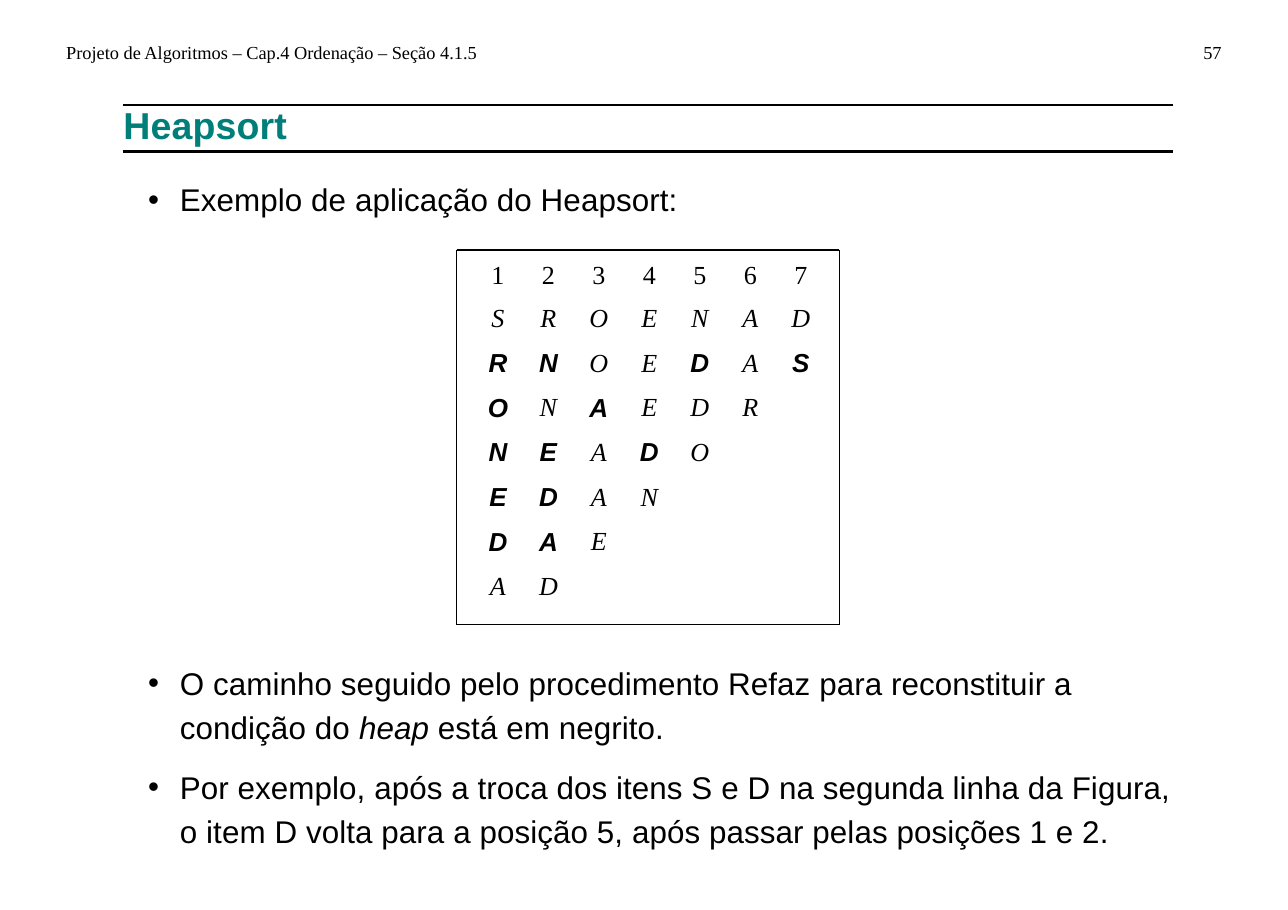
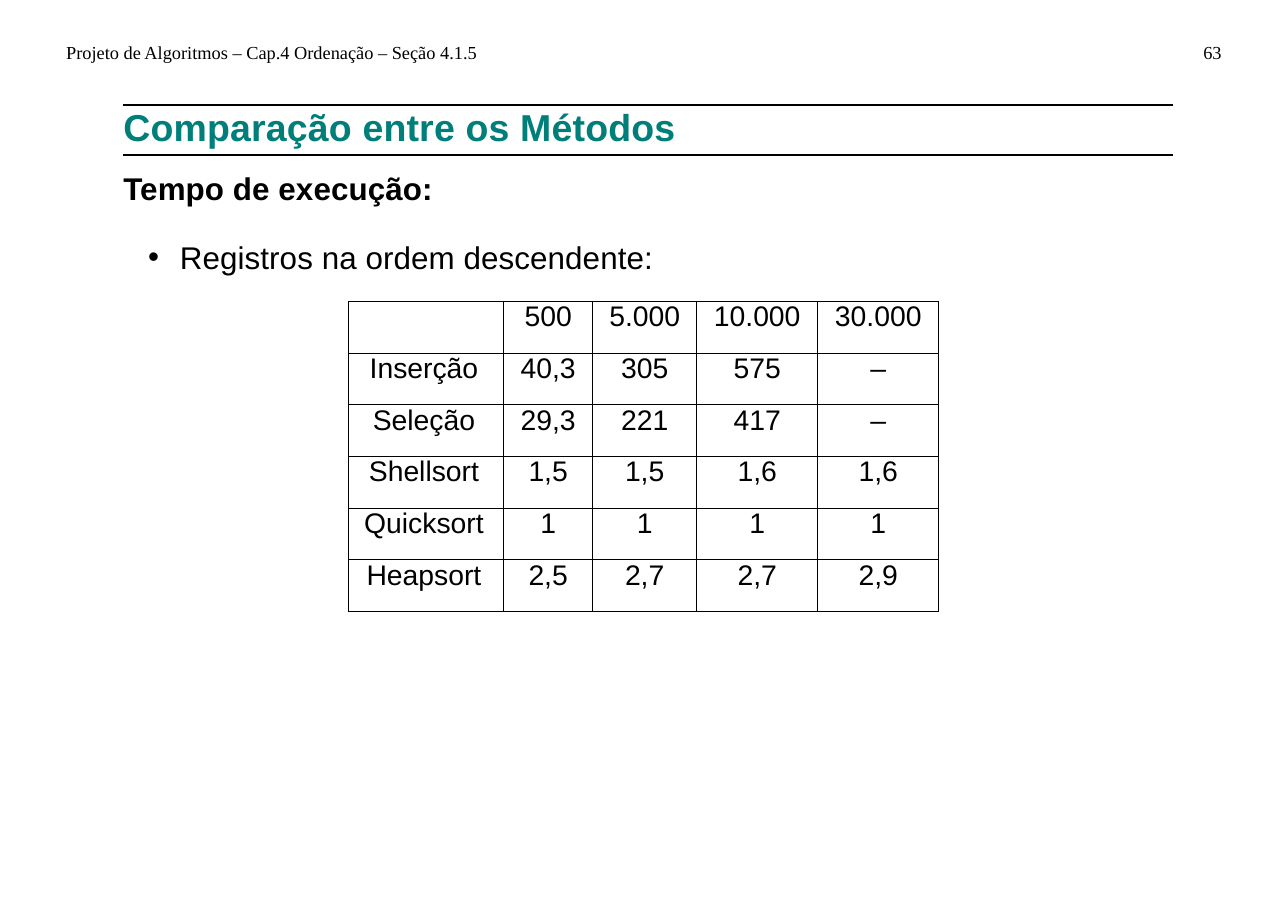
from dataclasses import dataclass

from lxml.etree import SubElement
from pptx import Presentation
from pptx.dml.color import RGBColor
from pptx.enum.shapes import MSO_CONNECTOR
from pptx.enum.text import PP_ALIGN
from pptx.oxml.ns import qn
from pptx.util import Pt


@dataclass(frozen=True)
class Theme:
    ink: str = "000000"
    accent: str = "007F7A"
    sans: str = "Arial"
    serif: str = "Times New Roman"
    header: float = 12
    title: float = 24.5
    body: float = 20.5
    data: float = 18.5
    heap: float = 17
    title_tracking: int = 13
    body_tracking: int = 6
    rule: float = 1.73
    hairline: float = 0.69
    left: float = 80.6
    right: float = 766.8
    bullet_left: float = 96.8
    hanging: float = 20.8


THEME = Theme()

# Content: in HEAP_ROWS a star marks a bold letter, in bullets stars enclose italics
HEADER = "Projeto de Algoritmos – Cap.4 Ordenação – Seção 4.1.5"
HEAP_ROWS = [
    "1 2 3 4 5 6 7",
    "S R O E N A D",
    "*R *N O E *D A *S",
    "*O N *A E D R",
    "*N *E A *D O",
    "*E *D A N",
    "*D *A E",
    "A D",
]
HEAP_INTRO = ["Exemplo de aplicação do Heapsort:"]
HEAP_NOTES = [
    "O caminho seguido pelo procedimento Refaz para reconstituir a condição do *heap* está em negrito.",
    "Por exemplo, após a troca dos itens S e D na segunda linha da Figura, "
    "o item D volta para a posição 5, após passar pelas posições 1 e 2.",
]
TIMES_INTRO = ["Registros na ordem descendente:"]
TIMES = [
    ("", "500", "5.000", "10.000", "30.000"),
    ("Inserção", "40,3", "305", "575", "–"),
    ("Seleção", "29,3", "221", "417", "–"),
    ("Shellsort", "1,5", "1,5", "1,6", "1,6"),
    ("Quicksort", "1", "1", "1", "1"),
    ("Heapsort", "2,5", "2,7", "2,7", "2,9"),
]


# Text
def style(para, size, name=THEME.sans, color=THEME.ink, bold=False, italic=False, tracking=0):
    font = para.font
    font.size, font.name, font.bold, font.italic = Pt(size), name, bold, italic
    font.color.rgb = RGBColor.from_string(color)
    if tracking:
        para._p.pPr.find(qn("a:defRPr")).set("spc", str(tracking))


def add_frame(page, left, top, width, height):
    frame = page.shapes.add_textbox(Pt(left), Pt(top), Pt(width), Pt(height)).text_frame
    frame.margin_left = frame.margin_right = frame.margin_top = frame.margin_bottom = 0
    frame.word_wrap = True
    return frame


def add_text(page, text, left, top, width, size, **look):
    para = add_frame(page, left, top, width, size * 1.2).paragraphs[0]
    para.text = text
    style(para, size, **look)


def add_bullets(page, items, top, height, spacing=1.0):
    frame = add_frame(page, THEME.bullet_left, top, 673, height)
    for index, item in enumerate(items):
        para = frame.add_paragraph() if index else frame.paragraphs[0]
        para.line_spacing = spacing
        if index:
            para.space_before = Pt(10.8)
        properties = para._p.get_or_add_pPr()
        properties.set("marL", str(Pt(THEME.hanging)))
        properties.set("indent", str(-Pt(THEME.hanging)))
        SubElement(properties, qn("a:buFont"), typeface=THEME.sans)
        SubElement(properties, qn("a:buChar"), char="•")
        style(para, THEME.body, tracking=THEME.body_tracking)
        for part, text in enumerate(item.split("*")):
            span = para.add_run()
            span.text = text
            if part % 2:
                span.font.italic = True


# Lines and tables
def add_line(page, x1, y1, x2, y2, weight):
    line = page.shapes.add_connector(MSO_CONNECTOR.STRAIGHT, Pt(x1), Pt(y1), Pt(x2), Pt(y2))
    line.line.color.rgb = RGBColor.from_string(THEME.ink)
    line.line.width = Pt(weight)
    SubElement(line._element.spPr, qn("a:effectLst"))


def add_border(page, left, top, right, bottom):
    for y in (top, bottom):
        add_line(page, left, y, right, y, THEME.hairline)
    for x in (left, right):
        add_line(page, x, top, x, bottom, THEME.hairline)


def set_borders(cell, visible):
    properties = cell._tc.get_or_add_tcPr()
    for side in ("lnL", "lnR", "lnT", "lnB"):
        border = SubElement(properties, qn(f"a:{side}"), w=str(Pt(THEME.hairline)))
        if visible:
            fill = SubElement(border, qn("a:solidFill"))
            SubElement(fill, qn("a:srgbClr"), val=THEME.ink)
        else:
            SubElement(border, qn("a:noFill"))


def add_grid(page, left, top, widths, heights, bordered):
    grid = page.shapes.add_table(
        len(heights), len(widths), Pt(left), Pt(top), Pt(sum(widths)), Pt(sum(heights))).table
    grid.first_row = grid.horz_banding = False
    for column, width in zip(grid.columns, widths):
        column.width = Pt(width)
    for row, height in zip(grid.rows, heights):
        row.height = Pt(height)
    for cell in grid.iter_cells():
        cell.margin_left = cell.margin_right = cell.margin_top = cell.margin_bottom = 0
        set_borders(cell, bordered)
        cell.fill.background()
    return grid


def fill_cell(cell, text, size, **look):
    para = cell.text_frame.paragraphs[0]
    para.text = text
    para.alignment = PP_ALIGN.CENTER
    style(para, size, **look)


# Slides
def add_page(deck, number, title, title_top, lower_rule):
    page = deck.slides.add_slide(deck.slide_layouts[6])
    add_text(page, HEADER, 43.2, 27, 290, THEME.header, name=THEME.serif)
    add_text(page, str(number), 786.4, 27, 14.4, THEME.header, name=THEME.serif)
    for y in (68.7, lower_rule):
        add_line(page, THEME.left, y, THEME.right, y, THEME.rule)
    add_text(page, title, THEME.left, title_top, 600, THEME.title,
             color=THEME.accent, bold=True, tracking=THEME.title_tracking)
    return page


def add_heapsort(deck):
    page = add_page(deck, 57, "Heapsort", 66.6, 98.9)
    add_bullets(page, HEAP_INTRO, 118, 24)
    add_border(page, 298.4, 163.4, 548.6, 408.2)
    heights = [28.1] + [29.2] * (len(HEAP_ROWS) - 1)
    grid = add_grid(page, 308.9, 170.6, [33] * 7, heights, False)
    for row, letters in enumerate(HEAP_ROWS):
        for column, letter in enumerate(letters.split()):
            bold = letter.startswith("*")
            fill_cell(grid.cell(row, column), letter.strip("*"), THEME.heap,
                      name=THEME.sans if bold else THEME.serif, bold=bold, italic=row > 0)
    add_bullets(page, HEAP_NOTES, 430.2, 126, 1.16)


def add_comparison(deck):
    page = add_page(deck, 63, "Comparação entre os Métodos", 67.8, 101.3)
    add_text(page, "Tempo de execução:", THEME.left, 110.9, 400, THEME.body,
             bold=True, tracking=THEME.body_tracking)
    add_bullets(page, TIMES_INTRO, 155.4, 24)
    grid = add_grid(page, 227.5, 196.9, [101.6, 58.2, 68, 79.1, 79.1], [33.8] * len(TIMES), True)
    for row, values in enumerate(TIMES):
        grid.cell(row, 0).margin_right = Pt(2.6)
        for column, value in enumerate(values):
            if value:
                fill_cell(grid.cell(row, column), value, THEME.data)


def main():
    deck = Presentation()
    deck.slide_width, deck.slide_height = Pt(841.68), Pt(594.72)
    add_heapsort(deck)
    add_comparison(deck)
    deck.save("out.pptx")


if __name__ == "__main__":
    main()
